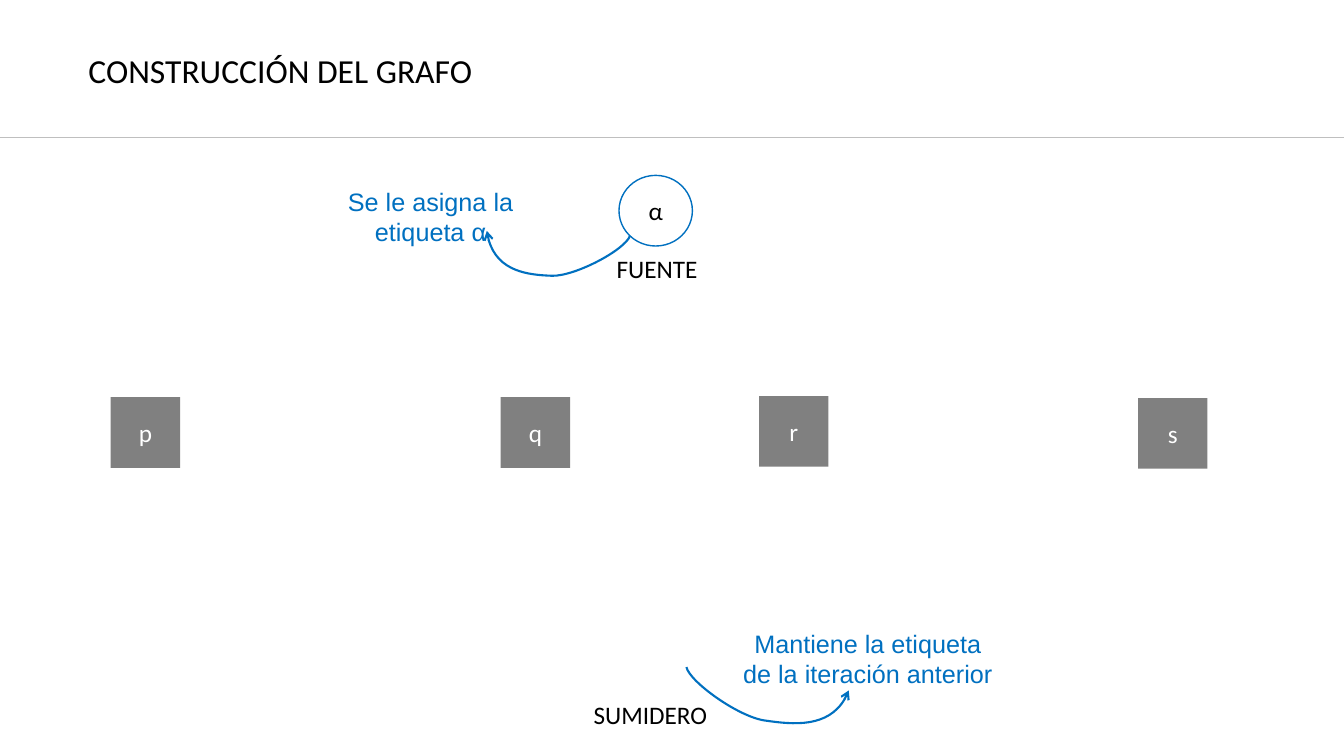
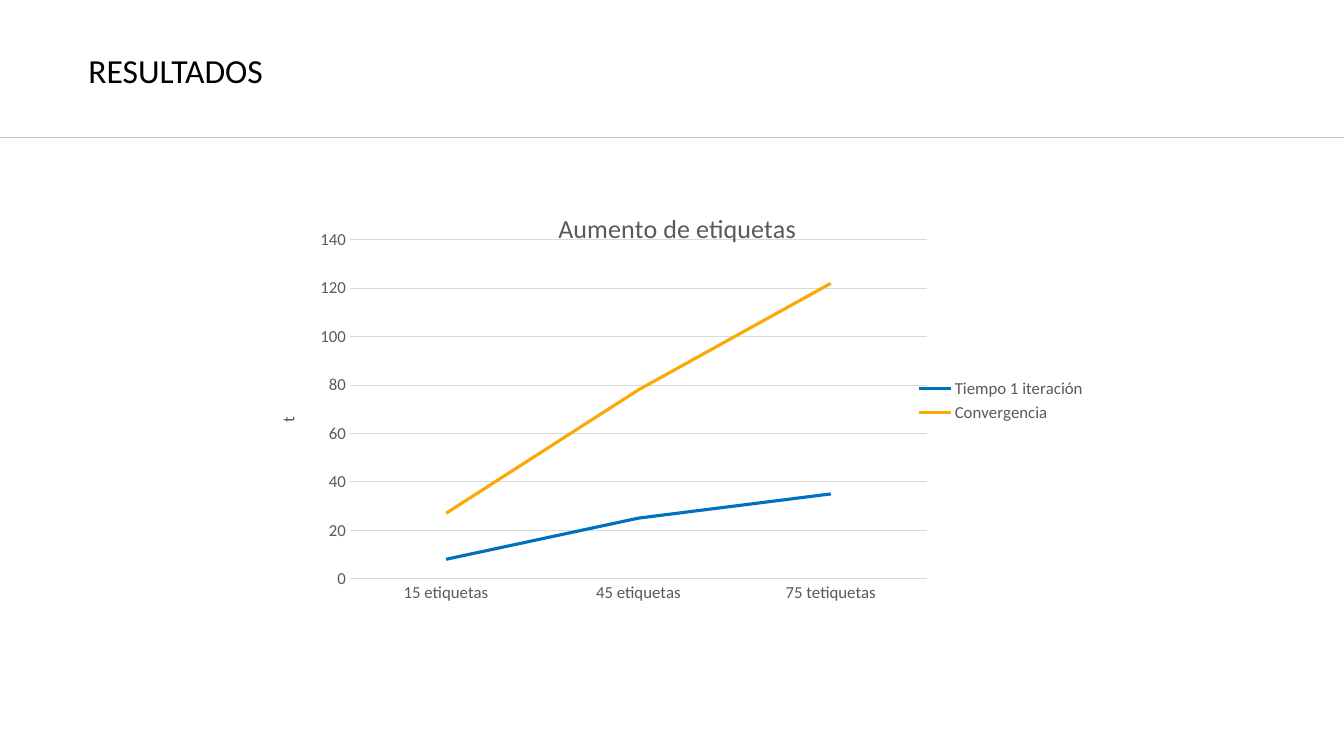
from dataclasses import dataclass
from typing import Any

from lxml.etree import SubElement
from pptx import Presentation
from pptx.chart.data import CategoryChartData
from pptx.dml.color import RGBColor
from pptx.enum.chart import XL_CHART_TYPE, XL_LEGEND_POSITION, XL_TICK_MARK
from pptx.enum.shapes import MSO_CONNECTOR, MSO_SHAPE
from pptx.enum.text import MSO_ANCHOR, MSO_AUTO_SIZE, PP_ALIGN
from pptx.oxml import parse_xml
from pptx.oxml.ns import nsdecls, qn
from pptx.util import Cm, Pt

BLUE, ORANGE, BLACK, WHITE = "0070C0", "FBA905", "000000", "FFFFFF"
NODE_GREY, RULE_GREY, GRID_GREY, CHART_GREY = "808080", "BFBFBF", "D9D9D9", "595959"
BODY_FONT, NOTE_FONT = "Calibri", "Arial"
Point = tuple[float, float]


@dataclass(frozen=True)
class Box:
    """Left, top, width and height in centimetres."""
    left: float
    top: float
    width: float
    height: float

    def lengths(self) -> tuple[Cm, Cm, Cm, Cm]:
        """Return the four lengths for python-pptx."""
        return Cm(self.left), Cm(self.top), Cm(self.width), Cm(self.height)


@dataclass(frozen=True)
class Node:
    """A graph node: its label, place and colours."""
    label: str
    box: Box
    shape: MSO_SHAPE = MSO_SHAPE.RECTANGLE
    ink: str = WHITE
    fill: str | None = NODE_GREY
    outline: str | None = None


@dataclass(frozen=True)
class Caption:
    """Free-standing text with its style."""
    lines: tuple[str, ...]
    box: Box
    size: float = 18
    font: str = BODY_FONT
    ink: str = BLACK
    align: PP_ALIGN = PP_ALIGN.LEFT
    wrap: bool = False
    anchor: MSO_ANCHOR = MSO_ANCHOR.TOP
    grow: bool = True
    spacing: float = 1.0


@dataclass(frozen=True)
class CurvedArrow:
    """Two joined Bezier curves: start, then three points per curve."""
    start: Point
    controls: tuple[Point, ...]


@dataclass(frozen=True)
class Series:
    """One line of the results chart."""
    name: str
    values: tuple[int, ...]
    ink: str


def note(box: Box, *lines: str) -> Caption:
    """Describe a blue centred remark."""
    return Caption(lines, box, font=NOTE_FONT, ink=BLUE, align=PP_ALIGN.CENTER, wrap=True)


def square(label: str, left: float, top: float) -> Node:
    """Describe a grey pixel node."""
    return Node(label, Box(left, top, 1.75, 1.78))


NODES = (
    Node("α", Box(15.6, 4.42, 1.85, 1.78), MSO_SHAPE.OVAL, BLACK, None, BLUE),
    square("p", 2.79, 10.01),
    square("q", 12.62, 10.01),
    square("r", 19.13, 9.98),
    square("s", 28.68, 10.03),
)
CAPTIONS = (
    Caption(("FUENTE",), Box(15.29, 6.25, 2.57, 1.02)),
    Caption(("SUMIDERO",), Box(14.71, 17.5, 3.4, 1.02)),
    note(Box(7.32, 4.57, 7.06, 1.8), "Se le asigna la etiqueta α"),
    note(Box(18.34, 15.7, 7.06, 1.8), "Mantiene la etiqueta", "de la iteración anterior"),
)
ARROWS = (
    CurvedArrow((12.27, 5.82), ((12.4, 6.83), (13.31, 6.93), (13.92, 6.95),
                                (14.5, 6.96), (15.75, 6.3), (15.88, 5.94))),
    CurvedArrow((21.39, 17.4), ((21.03, 18.36), (19.99, 18.26), (19.3, 18.16),
                                (18.62, 18.08), (17.37, 17.17), (17.3, 16.81))),
)
CATEGORIES = ("15 etiquetas", "45 etiquetas", "75 tetiquetas")
SERIES = (
    Series("Tiempo 1 iteración", (8, 25, 35), BLUE),
    Series("Convergencia", (27, 78, 122), ORANGE),
)


def rgb(code: str) -> RGBColor:
    """Turn a hex string into a colour."""
    return RGBColor.from_string(code)


def style_font(font: Any, size: float, ink: str, name: str = BODY_FONT) -> None:
    """Set size, colour and typeface of a font."""
    font.name, font.size, font.bold = name, Pt(size), False
    font.color.rgb = rgb(ink)


def style_line(line: Any, ink: str, width: float) -> None:
    """Set colour and width of a line."""
    line.color.rgb = rgb(ink)
    line.width = Pt(width)


def add_caption(slide: Any, caption: Caption) -> None:
    """Draw a text box."""
    frame = slide.shapes.add_textbox(*caption.box.lengths()).text_frame
    frame.word_wrap = caption.wrap
    frame.vertical_anchor = caption.anchor
    frame.auto_size = MSO_AUTO_SIZE.SHAPE_TO_FIT_TEXT if caption.grow else MSO_AUTO_SIZE.NONE
    frame.text = "\n".join(caption.lines)
    for paragraph in frame.paragraphs:
        paragraph.alignment = caption.align
        paragraph.line_spacing = caption.spacing
        style_font(paragraph.font, caption.size, caption.ink, caption.font)


def add_titled_slide(deck: Any, title: str) -> Any:
    """Add a blank slide with the shared title and rule."""
    slide = deck.slides.add_slide(deck.slide_layouts[6])
    add_caption(slide, Caption((title,), Box(1.98, 0, 29.21, 3.68), size=24, wrap=True,
                               anchor=MSO_ANCHOR.MIDDLE, grow=False, spacing=0.9))
    rule = slide.shapes.add_connector(MSO_CONNECTOR.STRAIGHT, Cm(-1.22), Cm(3.45),
                                      Cm(34.39), Cm(3.45))
    style_line(rule.line, RULE_GREY, 0.5)
    SubElement(rule._element.spPr, qn("a:effectLst"))
    return slide


def add_node(slide: Any, node: Node) -> None:
    """Draw a labelled graph node."""
    shape = slide.shapes.add_shape(node.shape, *node.box.lengths())
    shape.shadow.inherit = False
    if node.fill:
        shape.fill.solid()
        shape.fill.fore_color.rgb = rgb(node.fill)
    else:
        shape.fill.background()
    if node.outline:
        style_line(shape.line, node.outline, 1)
    else:
        shape.line.fill.background()
    frame = shape.text_frame
    frame.text = node.label
    frame.vertical_anchor = MSO_ANCHOR.MIDDLE
    frame.paragraphs[0].alignment = PP_ALIGN.CENTER
    style_font(frame.paragraphs[0].font, 18, node.ink)


def add_curved_arrow(slide: Any, arrow: CurvedArrow) -> None:
    """Draw a curve with an open arrowhead at its start."""
    builder = slide.shapes.build_freeform(Cm(arrow.start[0]), Cm(arrow.start[1]))
    builder.add_line_segments([(Cm(x), Cm(y)) for x, y in arrow.controls], close=False)
    curve = builder.convert_to_shape()
    curve.shadow.inherit = False
    curve.fill.background()
    style_line(curve.line, BLUE, 1.5)
    SubElement(curve.line._get_or_add_ln(), qn("a:headEnd"), type="arrow")
    segments = list(curve._element.iter(qn("a:lnTo")))
    outline = segments[0].getparent()
    for first in range(0, len(segments), 3):
        bezier = SubElement(outline, qn("a:cubicBezTo"))
        for segment in segments[first:first + 3]:
            bezier.append(segment[0])
            outline.remove(segment)


def place(part: Any, inner: bool = False, **fractions: float) -> None:
    """Fix a chart part at fractions of the chart's size."""
    for old in part.findall(qn("c:layout")):
        part.remove(old)
    modes = '<c:layoutTarget val="inner"/>' if inner else ""
    modes += '<c:xMode val="edge"/><c:yMode val="edge"/>'
    sizes = "".join(f'<c:{key} val="{value}"/>' for key, value in fractions.items())
    layout = parse_xml(f'<c:layout {nsdecls("c")}><c:manualLayout>{modes}{sizes}'
                       "</c:manualLayout></c:layout>")
    part.insert(0 if part.find(qn("c:tx")) is None else 1, layout)


def set_title(title: Any, text: str, size: float, x: float, y: float) -> None:
    """Write and place a chart or axis title."""
    title.text_frame.text = text
    style_font(title.text_frame.paragraphs[0].font, size, CHART_GREY)
    place(title._element, x=x, y=y)


def add_results_chart(slide: Any) -> None:
    """Draw the line chart of running times."""
    data = CategoryChartData()
    data.categories = CATEGORIES
    for series in SERIES:
        data.add_series(series.name, series.values)
    chart = slide.shapes.add_chart(XL_CHART_TYPE.LINE, *Box(6.25, 4.62, 21.39, 10.95).lengths(),
                                   data).chart
    style_font(chart.font, 12, CHART_GREY)
    chart.has_title = True
    set_title(chart.chart_title, "Aumento de etiquetas", 18.6, 0.36, 0.05)
    chart.has_legend = True
    chart.legend.position = XL_LEGEND_POSITION.RIGHT
    chart.legend.include_in_layout = False
    style_font(chart.legend.font, 12, CHART_GREY)

    for axis in (chart.category_axis, chart.value_axis):
        axis.major_tick_mark = axis.minor_tick_mark = XL_TICK_MARK.NONE
        style_font(axis.tick_labels.font, 12, CHART_GREY)
    style_line(chart.category_axis.format.line, GRID_GREY, 0.75)
    times = chart.value_axis
    times.minimum_scale, times.maximum_scale, times.major_unit = 0, 140, 20
    times.format.line.fill.background()
    style_line(times.major_gridlines.format.line, GRID_GREY, 0.75)
    set_title(times.axis_title, "t", 12, 0.03, 0.53)

    plot = chart.plots[0]
    plot.vary_by_categories = False
    for drawn, series in zip(plot.series, SERIES):
        drawn.smooth = False
        style_line(drawn.format.line, series.ink, 2.25)
    place(chart._chartSpace.chart.plotArea, inner=True, x=0.12, y=0.13, w=0.68, h=0.78)


def build() -> None:
    """Build and save the deck."""
    deck = Presentation()
    deck.slide_width, deck.slide_height = Cm(33.87), Cm(19.05)
    graph = add_titled_slide(deck, "CONSTRUCCIÓN DEL GRAFO")
    for node in NODES:
        add_node(graph, node)
    for caption in CAPTIONS:
        add_caption(graph, caption)
    for arrow in ARROWS:
        add_curved_arrow(graph, arrow)
    add_results_chart(add_titled_slide(deck, "RESULTADOS"))
    deck.save("out.pptx")


build()
